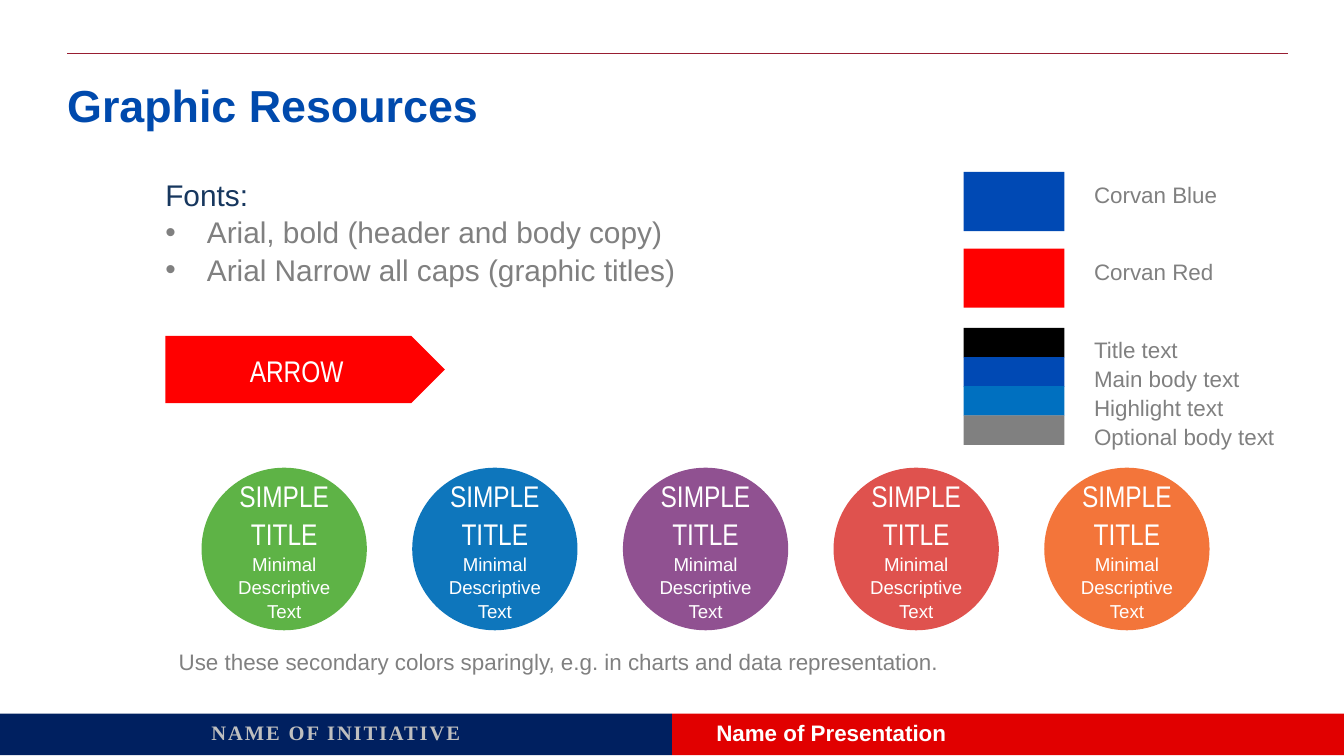
from lxml import etree
from pptx import Presentation
from pptx.dml.color import RGBColor
from pptx.enum import shapes, text
from pptx.oxml.ns import qn
from pptx.util import Inches, Pt

HUE = {
    "navy": "002060", "crimson": "E10000", "rule": "981E32",
    "title": "004AAD", "blue": "0049B4", "red": "FF0000",
    "black": "000000", "sky": "0070C0", "gray": "808080",
    "ink": "17375E", "white": "FFFFFF", "silver": "BFBFBF",
    "green": "5EB346", "azure": "0E76BC", "purple": "905191",
    "coral": "DF524E", "orange": "F3753A",
}
TITLE = "Graphic Resources"
FONTS = ["Arial, bold (header and body copy)",
         "Arial Narrow all caps (graphic titles)"]
BRAND = [("Corvan Blue", "blue"), ("Corvan Red", "red")]
TEXTS = [("Title text", "black"), ("Main body text", "blue"),
         ("Highlight text", "sky"), ("Optional body text", "gray")]
DOTS = ["green", "azure", "purple", "coral", "orange"]
DOT = [("SIMPLE TITLE", 16, "Arial Narrow"),
       ("Minimal Descriptive Text", 10, "Arial")]
NOTE = ("Use these secondary colors sparingly, "
        "e.g. in charts and data representation.")
KIND = shapes.MSO_SHAPE
MID = text.MSO_ANCHOR.MIDDLE
TOP = text.MSO_ANCHOR.TOP
LEFT = text.PP_ALIGN.LEFT
CENTER = text.PP_ALIGN.CENTER


def rgb(hue):
    return RGBColor.from_string(HUE[hue])


def spread(first, last, items):
    step = (last - first) / (len(items) - 1)
    return [(first + i * step, item) for i, item in enumerate(items)]


def style(para, words, size, hue, face="Arial", bold=False,
          align=LEFT, lead=1.05):
    para.text = words
    para.alignment = align
    para.line_spacing = lead
    font = para.font
    font.size, font.name, font.bold = Pt(size), face, bold
    font.color.rgb = rgb(hue)
    return para


def setup(frame, anchor=TOP, pad=0):
    frame.word_wrap = True
    frame.vertical_anchor = anchor
    frame.margin_left = frame.margin_right = Inches(pad)
    frame.margin_top = frame.margin_bottom = Inches(pad / 2)
    return frame


def block(slide, kind, box, hue):
    shape = slide.shapes.add_shape(kind, *map(Inches, box))
    shape.shadow.inherit = False
    shape.fill.solid()
    shape.fill.fore_color.rgb = rgb(hue)
    shape.line.fill.background()
    return shape


def label(slide, box, anchor=TOP, pad=0):
    shape = slide.shapes.add_textbox(*map(Inches, box))
    return setup(shape.text_frame, anchor, pad)


def bullet(para):
    props = para._p.get_or_add_pPr()
    props.set("marL", str(Inches(0.31)))
    props.set("indent", str(-Inches(0.31)))
    etree.SubElement(props, qn("a:buFont")).set("typeface", "Arial")
    etree.SubElement(props, qn("a:buChar")).set("char", "•")


def swatch(slide, items, first, last, height, drop, tall):
    for y, (name, hue) in spread(first, last, items):
        block(slide, KIND.RECTANGLE, (7.17, y, 0.75, height), hue)
        frame = label(slide, (8.14, y + drop, 1.42, tall))
        para = style(frame.paragraphs[0], name, 12, "gray")
        para.space_after = Pt(6)


def frame_page(slide):
    block(slide, KIND.RECTANGLE, (5, 5.31, 5, 0.31), "crimson")
    block(slide, KIND.RECTANGLE, (0, 5.31, 5, 0.31), "navy")
    rule = slide.shapes.add_connector(
        shapes.MSO_CONNECTOR.STRAIGHT,
        *map(Inches, (0.5, 0.4, 9.58, 0.4)))
    rule.line.color.rgb = rgb("rule")
    rule.line.width = Pt(0.5)
    etree.SubElement(rule._element.spPr, qn("a:effectLst"))

    head = slide.shapes.title
    head.left, head.top, head.width, head.height = map(
        Inches, (0.5, 0.52, 9.08, 0.62))
    frame = setup(head.text_frame)
    frame.auto_size = text.MSO_AUTO_SIZE.NONE
    style(frame.paragraphs[0], TITLE, 24, "title", bold=True, lead=1.14)

    frame = label(slide, (5.33, 5.33, 3.5, 0.24), MID)
    style(frame.paragraphs[0], "Name of Presentation", 12, "white",
          bold=True, lead=1.0)
    frame = label(slide, (0, 5.31, 5, 0.29), pad=0.1)
    para = style(frame.paragraphs[0], "NAME OF INITIATIVE", 11, "silver",
                 "Times New Roman", True, CENTER, 1.0)
    para.runs[0]._r.get_or_add_rPr().set("spc", "100")


def main():
    deck = Presentation()
    deck.slide_width = Inches(10)
    deck.slide_height = deck.slide_width * 9 // 16
    slide = deck.slides.add_slide(deck.slide_layouts[5])
    frame_page(slide)

    frame = label(slide, (1.23, 1.3, 5.02, 0.91))
    style(frame.paragraphs[0], "Fonts:", 16, "ink")
    for words in FONTS:
        bullet(style(frame.add_paragraph(), words, 16, "gray"))

    arrow = block(slide, KIND.PENTAGON, (1.23, 2.5, 2.08, 0.5), "red")
    frame = setup(arrow.text_frame, MID, 0.1)
    style(frame.paragraphs[0], "ARROW", 16, "white", "Arial Narrow",
          align=CENTER)

    swatch(slide, BRAND, 1.28, 1.85, 0.44, 0.06, 0.34)
    swatch(slide, TEXTS, 2.44, 3.09, 0.22, 0.05, 0.17)

    for x, hue in spread(1.5, 7.77, DOTS):
        dot = block(slide, KIND.OVAL, (x, 3.48, 1.23, 1.21), hue)
        frame = setup(dot.text_frame, MID)
        frame.add_paragraph()
        for para, (words, size, face) in zip(frame.paragraphs, DOT):
            style(para, words, size, "white", face, align=CENTER)

    frame = label(slide, (1.33, 4.81, 6.17, 0.44))
    para = style(frame.paragraphs[0], NOTE, 12, "gray")
    para.space_before, para.space_after = Pt(6), Pt(2)

    deck.save("out.pptx")


if __name__ == "__main__":
    main()
